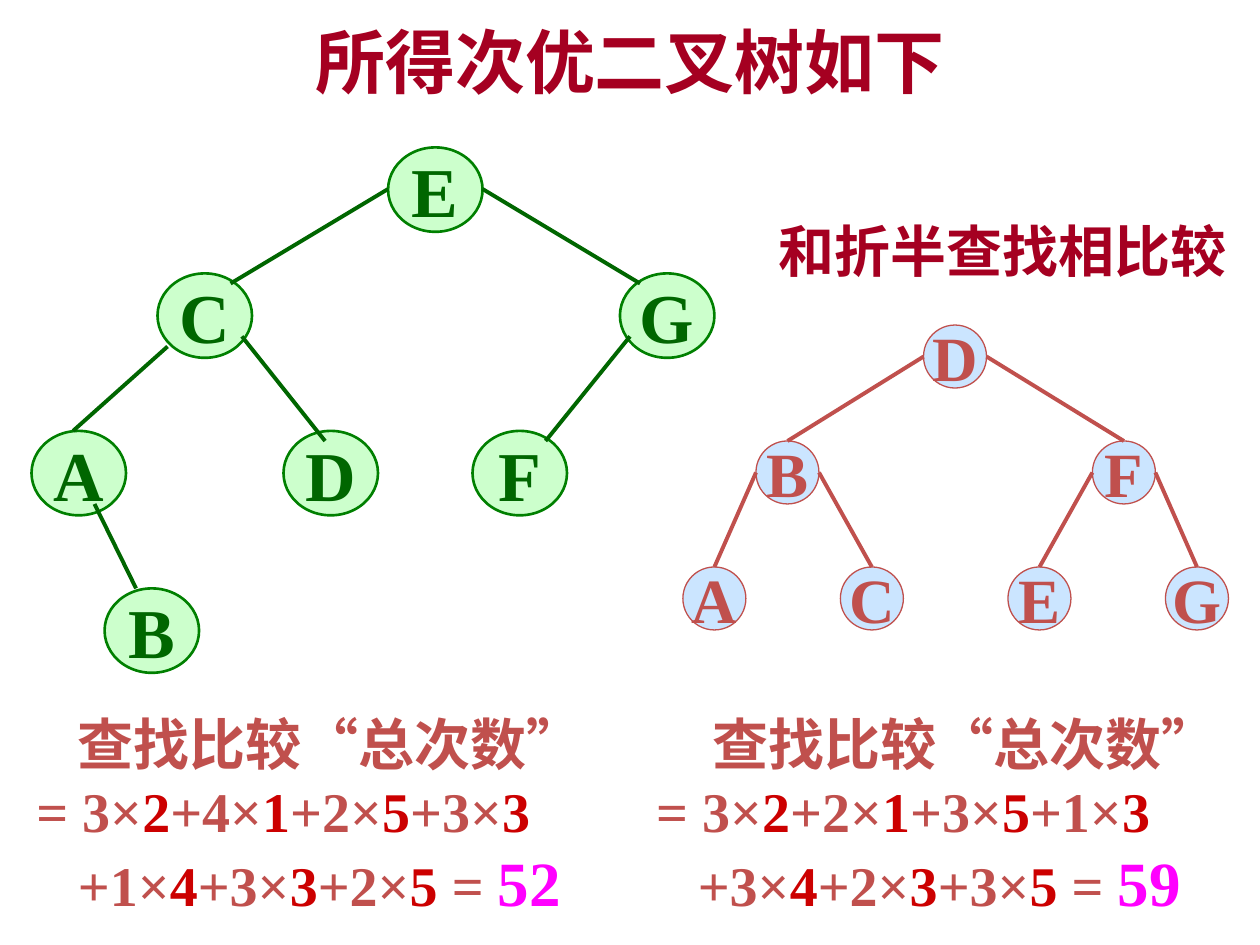
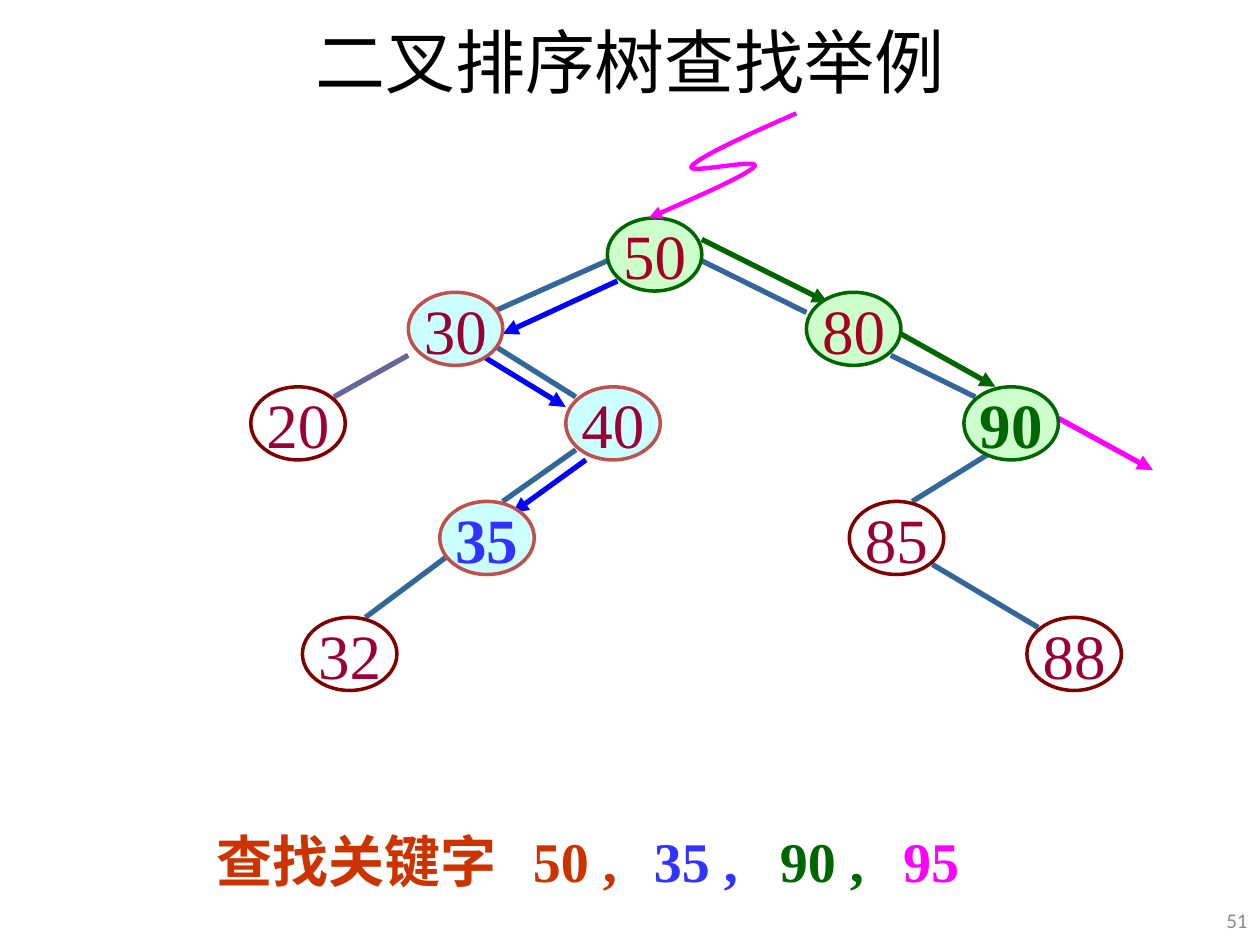
from itertools import pairwise

from lxml import etree
from pptx import Presentation
from pptx.dml.color import RGBColor
from pptx.enum.shapes import MSO_CONNECTOR, MSO_SHAPE
from pptx.enum.text import MSO_ANCHOR, PP_ALIGN
from pptx.oxml.ns import qn
from pptx.util import Inches, Pt

ELLIPSE = MSO_SHAPE.OVAL
STRAIGHT = MSO_CONNECTOR.STRAIGHT
MIDDLE, TOP = MSO_ANCHOR.MIDDLE, MSO_ANCHOR.TOP
LEFT, CENTER, RIGHT = PP_ALIGN.LEFT, PP_ALIGN.CENTER, PP_ALIGN.RIGHT

BLACK = RGBColor(0x00, 0x00, 0x00)
GRAY = RGBColor(0x8C, 0x8C, 0x8C)
CRIMSON = RGBColor(0xA5, 0x00, 0x21)
WINE = RGBColor(0x99, 0x00, 0x33)
MAROON = RGBColor(0x80, 0x00, 0x00)
BRICK = RGBColor(0xC0, 0x50, 0x4D)
RED = RGBColor(0xCC, 0x00, 0x00)
ORANGE = RGBColor(0xCC, 0x33, 0x00)
MAGENTA = RGBColor(0xFF, 0x00, 0xFF)
DARK_GREEN = RGBColor(0x00, 0x66, 0x00)
GREEN = RGBColor(0x00, 0x80, 0x00)
PALE_GREEN = RGBColor(0xCC, 0xFF, 0xCC)
PALE_CYAN = RGBColor(0xCC, 0xFF, 0xFF)
SKY = RGBColor(0x99, 0xCC, 0xFF)
BLUE = RGBColor(0x00, 0x00, 0xFF)
KEY_BLUE = RGBColor(0x33, 0x33, 0xFF)
STEEL = RGBColor(0x33, 0x66, 0x99)
SLATE = RGBColor(0x66, 0x66, 0x99)

SERIF, CJK, SANS = "Times New Roman", "Noto Sans CJK SC", "Calibri"


def add_run(paragraph, text, size, color, bold=True, font=SERIF):
    run = paragraph.add_run()
    run.text = text
    for name, value in {"size": Pt(size), "bold": bold, "name": font}.items():
        setattr(run.font, name, value)
    run.font.color.rgb = color
    etree.SubElement(run.font._element, qn("a:ea")).set("typeface", CJK)


def add_text(slide, box, text, size, color, bold=True, font=SERIF,
             align=LEFT, anchor=TOP, wrap=False):
    frame = slide.shapes.add_textbox(*map(Inches, box)).text_frame
    frame.word_wrap = wrap
    frame.vertical_anchor = anchor
    frame.paragraphs[0].alignment = align
    add_run(frame.paragraphs[0], text, size, color, bold, font)


def add_title(slide, text, color, bold):
    add_text(slide, (0.5, -0.03, 9, 1.02), text, 40, color, bold, CJK,
             CENTER, MIDDLE, True)


def add_arrowhead(line):
    etree.SubElement(line._get_or_add_ln(), qn("a:tailEnd")).set("type", "triangle")


def add_edge(slide, origin, start, end, color, width, arrow=False):
    left, top = origin
    edge = slide.shapes.add_connector(
        STRAIGHT, Inches(left + start[0]), Inches(top + start[1]),
        Inches(left + end[0]), Inches(top + end[1]))
    edge.line.color.rgb = color
    edge.line.width = Pt(width)
    if arrow:
        add_arrowhead(edge.line)
    etree.SubElement(edge._element.spPr, qn("a:effectLst"))


def add_node(slide, origin, place, size, label, fill, outline, width,
             font_size, color, bold=True, opacity=None):
    node = slide.shapes.add_shape(
        ELLIPSE, Inches(origin[0] + place[0]), Inches(origin[1] + place[1]),
        *map(Inches, size))
    node.shadow.inherit = False
    if fill is None:
        node.fill.background()
    else:
        node.fill.solid()
        node.fill.fore_color.rgb = fill
    if opacity:
        tint = node._element.spPr.find(qn("a:solidFill"))[0]
        etree.SubElement(tint, qn("a:alpha")).set("val", str(opacity * 1000))
    node.line.color.rgb = outline
    node.line.width = Pt(width)
    frame = node.text_frame
    frame.word_wrap = False
    frame.vertical_anchor = MIDDLE
    frame.paragraphs[0].alignment = CENTER
    add_run(frame.paragraphs[0], label, font_size, color, bold)


def suboptimal_tree(slide, origin):
    nodes = {"E": (2.83, 0), "C": (1, 1), "G": (4.67, 1), "A": (0, 2.25),
             "B": (0.58, 3.5), "D": (2, 2.25), "F": (3.5, 2.25)}
    edges = [((2.83, 0.33), (1.58, 1.08)), ((1.08, 1.58), (0.33, 2.25)),
             ((1.67, 1.5), (2.33, 2.33)), ((0.5, 2.83), (0.83, 3.5)),
             ((3.58, 0.33), (4.83, 1.08)), ((4.75, 1.5), (4.08, 2.33))]
    for label, place in nodes.items():
        add_node(slide, origin, place, (0.75, 0.67), label, PALE_GREEN, GREEN,
                 1.5, 40, DARK_GREEN)
    for start, end in edges:
        add_edge(slide, origin, start, end, DARK_GREEN, 2.25)


def binary_search_tree(slide, origin):
    diameter = 0.5
    nodes = {"D": (1.91, 0), "B": (0.58, 0.92), "A": (0, 1.92), "C": (1.25, 1.92),
             "F": (3.25, 0.92), "E": (2.58, 1.92), "G": (3.83, 1.92)}
    children = {"D": "BF", "B": "AC", "F": "EG"}
    for label, place in nodes.items():
        add_node(slide, origin, place, (diameter, diameter), label, SKY, BRICK,
                 0.75, 36, BRICK, opacity=50)
    for parent, pair in children.items():
        x, y = nodes[parent]
        for side, child in zip((0, diameter), pair):
            child_x, child_y = nodes[child]
            add_edge(slide, origin, (x + side, y + diameter / 2),
                     (child_x + diameter / 2, child_y), BRICK, 2.25)


def comparison_total(slide, box, heading_indent, first_terms, second_terms, total):
    frame = slide.shapes.add_textbox(*map(Inches, box)).text_frame
    frame.word_wrap = True
    heading = frame.paragraphs[0]
    first_line, second_line = frame.add_paragraph(), frame.add_paragraph()
    indents = (heading_indent, 0.11, 0.44)
    for paragraph, indent in zip((heading, first_line, second_line), indents):
        paragraph._p.get_or_add_pPr().set("marL", str(Inches(indent)))
    add_run(heading, "查找比较“总次数”", 32, BRICK)
    for paragraph, lead, terms in ((first_line, "= ", first_terms),
                                   (second_line, "+", second_terms)):
        for count, weight in terms:
            add_run(paragraph, f"{lead}{count}×", 32, BRICK)
            add_run(paragraph, str(weight), 32, RED)
            lead = "+"
    add_run(second_line, " = ", 32, BRICK)
    add_run(second_line, str(total), 36, MAGENTA)


def sorted_tree(slide, origin):
    links = [((2.83, 0.34), (1.91, 0.75)), ((3.58, 0.34), (4.41, 0.75)),
             ((1.91, 1), (2.58, 1.42)), ((2.58, 1.84), (2, 2.25)),
             ((5.08, 1.09), (5.75, 1.42)), ((5.91, 1.84), (5.25, 2.25)),
             ((5.41, 2.75), (6.25, 3.25)), ((1.58, 2.67), (0.91, 3.17))]
    search_steps = {
        BLUE: [((2.91, 0.5), (2, 0.92)), ((1.83, 1.09), (2.5, 1.5)),
               ((2.66, 1.92), (2.08, 2.34))],
        DARK_GREEN: [((3.58, 0.17), (4.58, 0.67)), ((5.16, 0.92), (5.91, 1.34))],
        MAGENTA: [((6.41, 1.59), (7.16, 2))],
    }
    node_groups = [
        (None, MAROON, WINE, {"20": (0, 1.34), "85": (4.75, 2.25),
                              "88": (6.16, 3.17), "32": (0.41, 3.17)}),
        (PALE_CYAN, BRICK, WINE, {"30": (1.25, 0.59), "40": (2.5, 1.34),
                                  "35": (1.5, 2.25)}),
        (PALE_GREEN, DARK_GREEN, CRIMSON, {"50": (2.83, 0), "80": (4.41, 0.59),
                                           "90": (5.66, 1.34)}),
    ]
    found = {"35": KEY_BLUE, "90": DARK_GREEN}
    for start, end in links:
        add_edge(slide, origin, start, end, STEEL, 3)
    add_edge(slide, origin, (1.25, 1.09), (0.66, 1.42), SLATE, 3)
    for color, steps in search_steps.items():
        for start, end in steps:
            add_edge(slide, origin, start, end, color, 3, arrow=True)
    for fill, outline, color, nodes in node_groups:
        for label, place in nodes.items():
            add_node(slide, origin, place, (0.75, 0.58), label, fill, outline, 2,
                     36, found.get(label, color), label in found)


def bezier(points, t):
    while len(points) > 1:
        points = [(a[0] + (b[0] - a[0]) * t, a[1] + (b[1] - a[1]) * t)
                  for a, b in pairwise(points)]
    return points[0]


def entry_arrow(slide, origin):
    left, top = origin
    steps = 16
    controls = [(1.17, 0), (0.78, 0.17), (0.39, 0.35), (0.34, 0.42),
                (0.28, 0.49), (0.89, 0.35), (0.84, 0.42),
                (0.78, 0.49), (0.39, 0.66), (0, 0.83)]
    curve = [bezier(controls[first:first + 4], step / steps)
             for first in (0, 3, 6) for step in range(1, steps + 1)]
    start, *rest = [(Inches(left + x), Inches(top + y))
                    for x, y in [controls[0], *curve]]
    builder = slide.shapes.build_freeform(*start)
    builder.add_line_segments(rest, close=False)
    squiggle = builder.convert_to_shape()
    squiggle.shadow.inherit = False
    squiggle.fill.background()
    squiggle.line.color.rgb = MAGENTA
    squiggle.line.width = Pt(2.5)
    add_arrowhead(squiggle.line)


def search_keys(slide, left, top):
    keys = [(0, 2.45, "查找关键字", ORANGE, CJK), (2.51, 0.88, "50 ,", ORANGE, SERIF),
            (3.47, 0.88, "35 ,", KEY_BLUE, SERIF),
            (4.47, 0.88, "90 ,", DARK_GREEN, SERIF), (5.45, 0.76, "95", MAGENTA, SERIF)]
    for offset, width, text, color, font in keys:
        add_text(slide, (left + offset, top, width, 0.64), text, 32, color, font=font)


def tree_comparison_slide(slide):
    add_title(slide, "所得次优二叉树如下", CRIMSON, True)
    suboptimal_tree(slide, (0.25, 1.17))
    comparison_total(slide, (0.08, 5.58, 4.68, 1.77), 0.44,
                     [(3, 2), (4, 1), (2, 5), (3, 3)], [(1, 4), (3, 3), (2, 5)], 52)
    comparison_total(slide, (5, 5.58, 4.79, 1.77), 0.56,
                     [(3, 2), (2, 1), (3, 5), (1, 3)], [(3, 4), (2, 3), (3, 5)], 59)
    add_text(slide, (6.08, 1.67, 3.78, 0.63), "和折半查找相比较", 32, CRIMSON)
    binary_search_tree(slide, (5.42, 2.58))


def search_example_slide(slide):
    add_title(slide, "二叉排序树查找举例", BLACK, False)
    add_text(slide, (9.57, 7.1, 0.43, 0.4), "51", 12, GRAY, False, SANS,
             RIGHT, MIDDLE, True)
    sorted_tree(slide, (1.99, 1.73))
    entry_arrow(slide, (5.15, 0.9))
    search_keys(slide, 1.62, 6.51)


def main():
    deck = Presentation()
    deck.slide_width, deck.slide_height = Inches(10), Inches(7.5)
    for build in (tree_comparison_slide, search_example_slide):
        build(deck.slides.add_slide(deck.slide_layouts[6]))
    deck.save("out.pptx")


if __name__ == "__main__":
    main()
